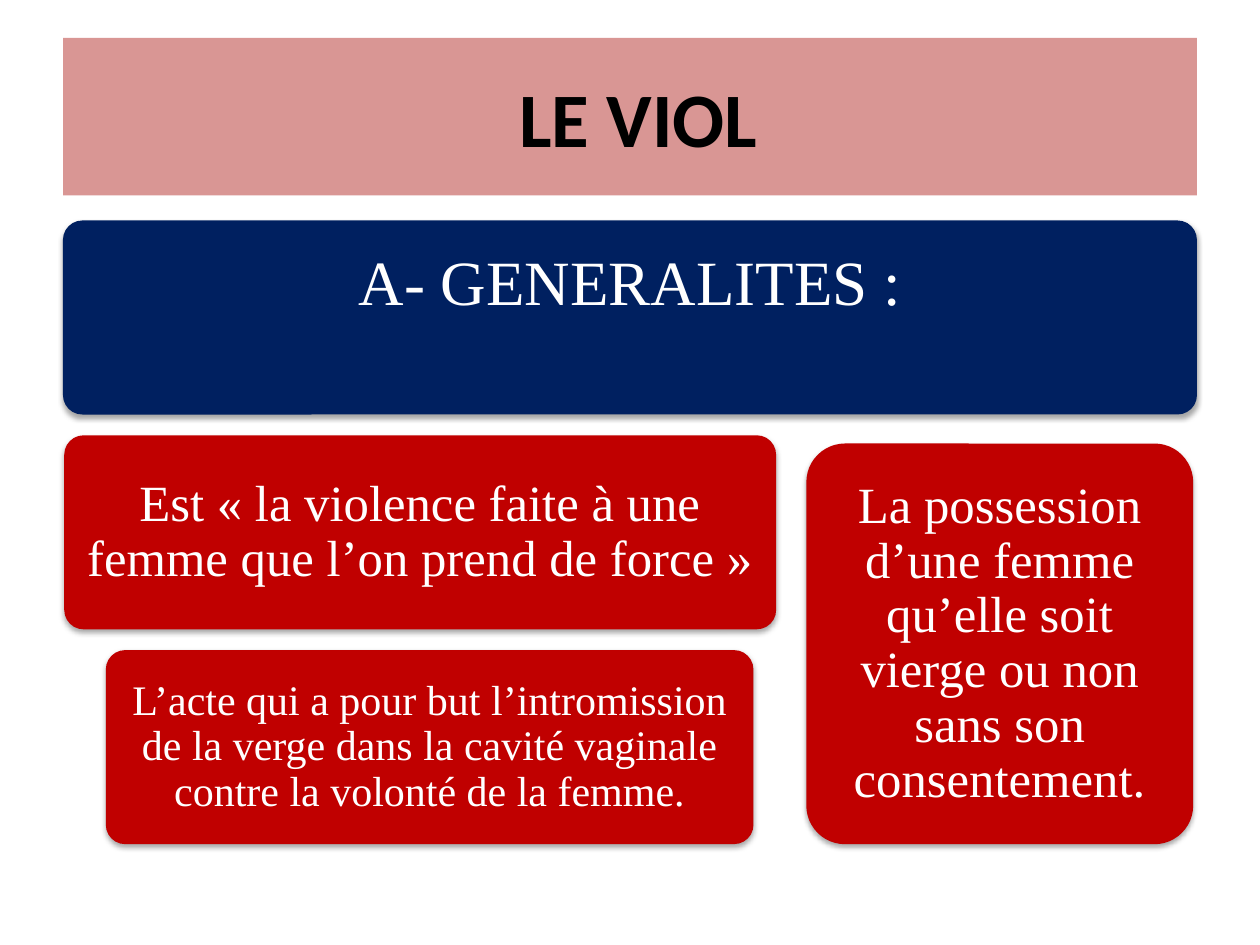
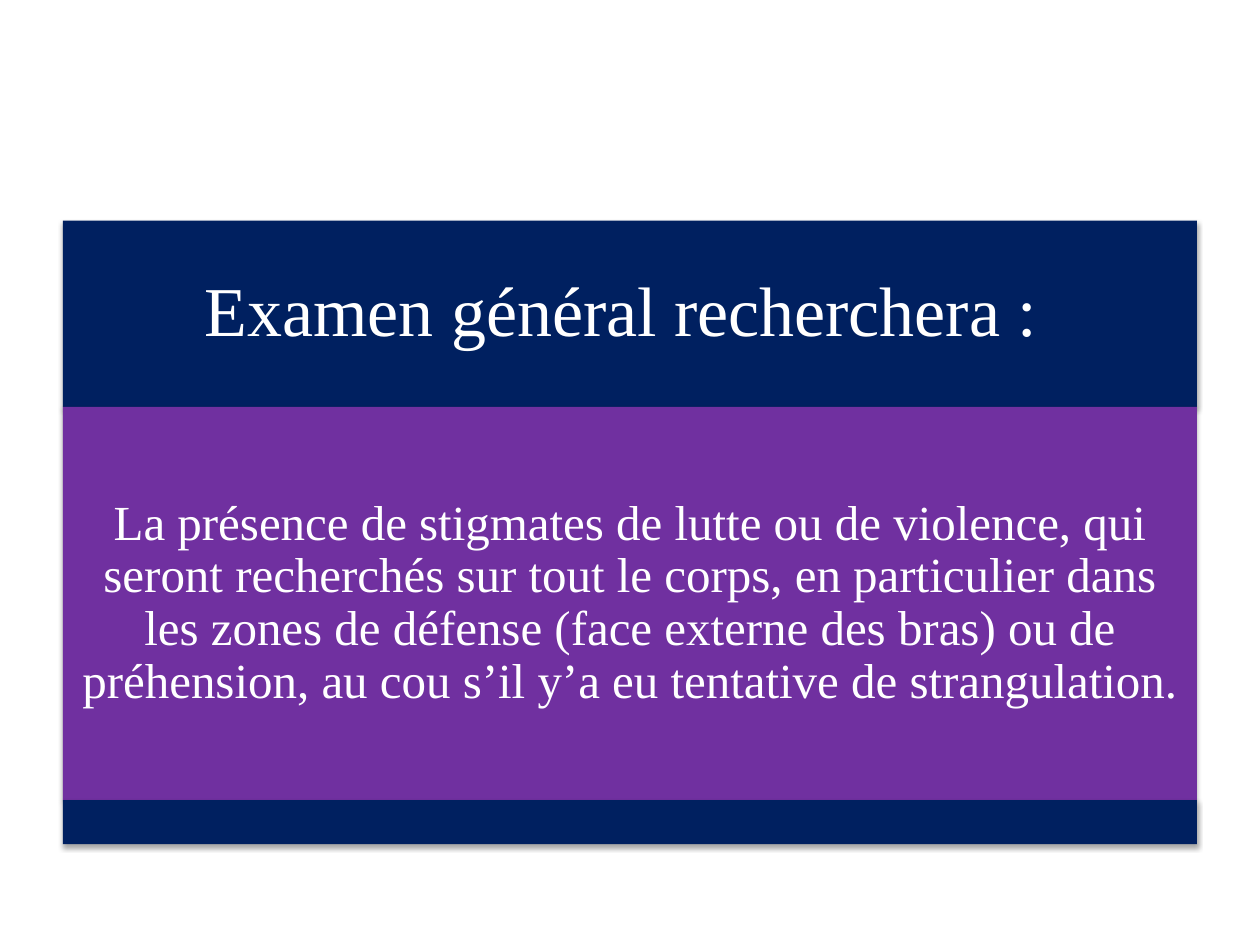
"""Build two slides on the definition and general examination of a rape case."""
from lxml import etree
from pptx import Presentation
from pptx.dml.color import RGBColor
from pptx.enum.shapes import MSO_SHAPE
from pptx.enum.text import MSO_ANCHOR, PP_ALIGN
from pptx.oxml.ns import qn
from pptx.util import Inches, Pt

RECT = MSO_SHAPE.RECTANGLE
ROUNDED = MSO_SHAPE.ROUNDED_RECTANGLE
MIDDLE, TOP = MSO_ANCHOR.MIDDLE, MSO_ANCHOR.TOP
CENTER = PP_ALIGN.CENTER
COLORS = {
    name: RGBColor.from_string(value)
    for name, value in {
        "rose": "D99694", "navy": "002060", "red": "C00000",
        "purple": "7030A0", "white": "FFFFFF", "black": "000000",
    }.items()
}
BODY_FONT, TITLE_FONT = "Times New Roman", "Calibri"
CORNER = 0.1
CORNER_INSET = 0.29

SLIDE_W, SLIDE_H = 10, 7.5
MARGIN = 0.05 * SLIDE_W
CONTENT_W = SLIDE_W - 2 * MARGIN
BODY_TOP = 1.75
ROW_H, ROW_STEP = 1.54, 1.705
BODY_BOTTOM = BODY_TOP + 2 * ROW_STEP + ROW_H


def add_shadow(shape):
    """Give the shape a soft shadow straight below it."""
    shape.shadow.inherit = False
    effects = shape._element.spPr.find(qn("a:effectLst"))
    shadow = etree.SubElement(
        effects, qn("a:outerShdw"), blurRad=str(Pt(3.1)), dist=str(Pt(1.8)),
        dir="5400000", rotWithShape="0")
    tint = etree.SubElement(shadow, qn("a:srgbClr"), val="000000")
    etree.SubElement(tint, qn("a:alpha"), val="35000")


def add_panel(slide, kind, box, color, text="", size=28, inset=0.12):
    """Add a filled panel with centred white text and return it."""
    left, top, width, height = box
    panel = slide.shapes.add_shape(kind, *(Inches(length) for length in box))
    panel.fill.solid()
    panel.fill.fore_color.rgb = COLORS[color]
    panel.line.fill.background()
    add_shadow(panel)
    if kind == ROUNDED:
        panel.adjustments[0] = CORNER
        inset = max(0, inset - CORNER_INSET * CORNER * min(width, height))
    if text:
        frame = panel.text_frame
        frame.word_wrap = True
        frame.vertical_anchor = MIDDLE
        frame.margin_left = frame.margin_right = Inches(inset)
        frame.margin_top = frame.margin_bottom = Inches(inset)
        frame.text = text
        paragraph = frame.paragraphs[0]
        paragraph.alignment = CENTER
        paragraph.line_spacing = 0.9
        font = paragraph.runs[0].font
        font.name, font.size = BODY_FONT, Pt(size)
        font.color.rgb = COLORS["white"]
    return panel


prs = Presentation()
prs.slide_width, prs.slide_height = Inches(SLIDE_W), Inches(SLIDE_H)

definition = prs.slides.add_slide(prs.slide_layouts[5])
title = definition.shapes.title
title.left, title.top = Inches(MARGIN), Inches(0.04 * SLIDE_H)
title.width, title.height = Inches(CONTENT_W), Inches(SLIDE_H / 6)
title.fill.solid()
title.fill.fore_color.rgb = COLORS["rose"]
title.text_frame.text = " LE VIOL"
title.text_frame.vertical_anchor = MIDDLE
title.text_frame.paragraphs[0].alignment = CENTER
title_font = title.text_frame.paragraphs[0].runs[0].font
title_font.name, title_font.size, title_font.bold = TITLE_FONT, Pt(44), True
title_font.color.rgb = COLORS["black"]

heading = add_panel(definition, ROUNDED, (MARGIN, BODY_TOP, CONTENT_W, ROW_H),
                    "navy", "A- GENERALITES :", 36)
heading.text_frame.vertical_anchor = TOP
heading.text_frame.margin_top = Inches(0.2)

meanings = [
    (0.51, 5.65, 29, 0.12,
     "Est « la violence faite à une femme que l’on prend de force »"),
    (0.84, 5.14, 24, 0.1,
     "L’acte qui a pour but l’intromission de la verge dans la cavité "
     "vaginale contre la volonté de la femme."),
]
for row, (left, width, size, inset, meaning) in enumerate(meanings, start=1):
    add_panel(definition, ROUNDED,
              (left, BODY_TOP + row * ROW_STEP, width, ROW_H),
              "red", meaning, size, inset)

consent_top = 3.52
consent = add_panel(
    definition, ROUNDED, (6.4, consent_top, 3.07, BODY_BOTTOM - consent_top),
    "red", "La possession d’une femme qu’elle soit vierge ou non sans son "
    "consentement.", 29)

examination = prs.slides.add_slide(prs.slide_layouts[6])
bands = [
    (1.48, "navy", "Examen général recherchera : ", 40, 0.17),
    (3.12, "purple",
     "La présence de stigmates de lutte ou de violence, qui seront recherchés "
     "sur tout le corps, en particulier dans les zones de défense (face "
     "externe des bras) ou de préhension, au cou s’il y’a eu tentative de "
     "strangulation.", 28, 0.12),
    (0.35, "navy", "", 28, 0.12),
]
band_top = BODY_TOP
for height, color, text, size, inset in bands:
    add_panel(examination, RECT, (MARGIN, band_top, CONTENT_W, height),
              color, text, size, inset)
    band_top += height

prs.save("out.pptx")
